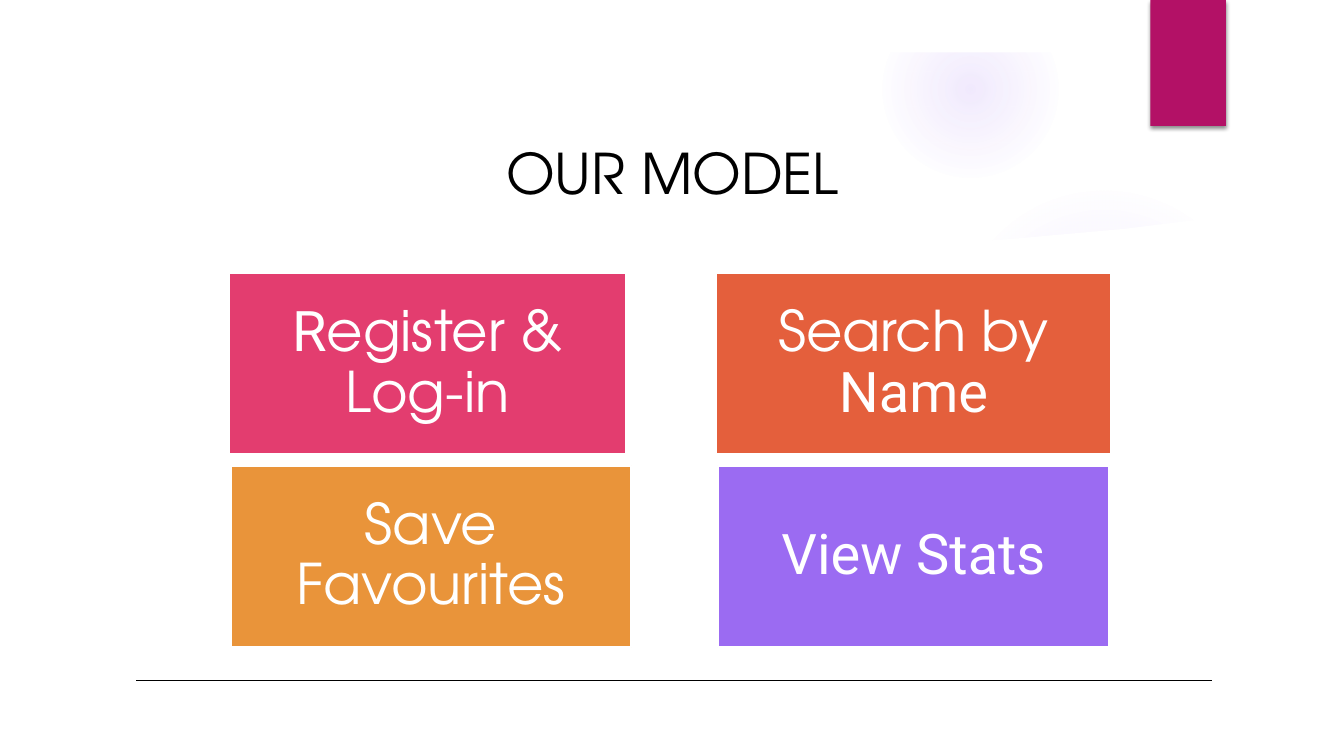
from dataclasses import dataclass

from lxml import etree
from pptx import Presentation
from pptx import util as u
from pptx.dml.color import RGBColor
from pptx.enum import shapes, text
from pptx.oxml import parse_xml
from pptx.oxml.ns import nsdecls, qn


@dataclass(frozen=True)
class Theme:
    white: str = "FFFFFF"
    ink: str = "000000"
    magenta: str = "B31166"
    pink: str = "E33D6F"
    red: str = "E45F3C"
    orange: str = "E9943A"
    violet: str = "9B6BF2"
    geometric: str = "TeX Gyre Adventor"
    plain: str = "Roboto"
    size: int = 40


T = Theme()
PX = 9144
WAVE = [(50, 204), (135, 215), (249, 227), (401, 238), (559, 246), (734, 248),
        (867, 245), (949, 241), (1004, 237), (1060, 232), (1116, 227),
        (1172, 220), (1228, 213), (1284, 204), (1284, 700), (50, 700)]


def px(*lengths):
    return [u.Emu(n * PX) for n in lengths]


def paint(sp, fill, line=None):
    sp.shadow.inherit = False
    sp.fill.solid()
    sp.fill.fore_color.rgb = RGBColor.from_string(fill)
    if line:
        sp.line.color.rgb = RGBColor.from_string(line)
        sp.line.width = u.Pt(1.5)
    else:
        sp.line.fill.background()
    return sp


def rect(s, box, fill, line=None):
    sp = s.shapes.add_shape(shapes.MSO_SHAPE.RECTANGLE, *px(*box))
    return paint(sp, fill, line)


def glow(s, box, stops):
    sp = s.shapes.add_shape(shapes.MSO_SHAPE.OVAL, *px(*box))
    sp.shadow.inherit = False
    sp.line.fill.background()
    sp.fill.background()
    gs = "".join(
        f'<a:gs pos="{pos * 1000}"><a:srgbClr val="{T.violet}">'
        f'<a:alpha val="{alpha * 1000}"/></a:srgbClr></a:gs>'
        for pos, alpha in stops)
    grad = parse_xml(
        f'<a:gradFill {nsdecls("a")}><a:gsLst>{gs}</a:gsLst><a:path path="circle">'
        '<a:fillToRect l="50000" t="50000" r="50000" b="50000"/></a:path></a:gradFill>')
    spPr = sp._element.spPr
    spPr.replace(spPr.find(qn("a:noFill")), grad)


def wave(s):
    fb = s.shapes.build_freeform(*WAVE[0], scale=PX)
    fb.add_line_segments(WAVE[1:], close=True)
    paint(fb.convert_to_shape(), T.white)


def drop_shadow(sp):
    effects = sp._element.spPr.find(qn("a:effectLst"))
    effects.append(parse_xml(
        f'<a:outerShdw {nsdecls("a")} blurRad="38100" dist="25400" dir="5400000" '
        f'rotWithShape="0"><a:srgbClr val="{T.ink}"><a:alpha val="45000"/>'
        '</a:srgbClr></a:outerShdw>'))


def write(sp, runs, color=T.white, anchor=text.MSO_ANCHOR.MIDDLE, spacing=0.9, inset=17):
    tf = sp.text_frame
    tf.word_wrap = True
    tf.vertical_anchor = anchor
    tf.margin_left = tf.margin_right = tf.margin_top = tf.margin_bottom = px(inset)[0]
    p = tf.paragraphs[0]
    p.alignment = text.PP_ALIGN.CENTER
    p.line_spacing = spacing
    for words, font in runs:
        r = p.add_run()
        r.text = words
        r.font.name = font
        r.font.size = u.Pt(T.size)
        r.font.color.rgb = RGBColor.from_string(color)


def rule(s, x1, x2, y):
    ln = s.shapes.add_connector(shapes.MSO_CONNECTOR.STRAIGHT, *px(x1, y, x2, y))
    ln.line.color.rgb = RGBColor.from_string(T.ink)
    ln.line.width = u.Pt(1)
    etree.SubElement(ln._element.spPr, qn("a:effectLst"))


def main():
    """Build the model slide and save it."""
    prs = Presentation()
    prs.slide_width, prs.slide_height = px(1333, 750)
    s = prs.slides.add_slide(prs.slide_layouts[6])

    glow(s, (941, 183, 308, 308), [(0, 7), (36, 6), (69, 0)])
    glow(s, (875, 1, 175, 175), [(0, 14), (36, 7), (73, 0)])
    wave(s)
    rect(s, (0, 0, 1333, 52), T.white)
    drop_shadow(rect(s, (1141, 0, 75, 125), T.magenta))

    title = s.shapes.add_textbox(*px(192, 99, 950, 110))
    write(title, [("OUR MODEL", T.geometric)], color=T.ink,
          anchor=text.MSO_ANCHOR.BOTTOM, spacing=1.0, inset=5)
    rule(s, 135, 1202, 675)

    cards = [
        ((227, 271, 394, 180), T.pink, [("R", T.plain), ("egister & Log-in", T.geometric)]),
        ((710, 271, 392, 180), T.red, [("Search by", T.geometric), (" Name", T.plain)]),
        ((229, 462, 397, 180), T.orange, [("Save Favourites", T.geometric)]),
        ((712, 462, 388, 180), T.violet, [("View Stats", T.plain)]),
    ]
    for box, fill, runs in cards:
        write(rect(s, box, fill, T.white), runs)

    prs.save("out.pptx")


if __name__ == "__main__":
    main()
